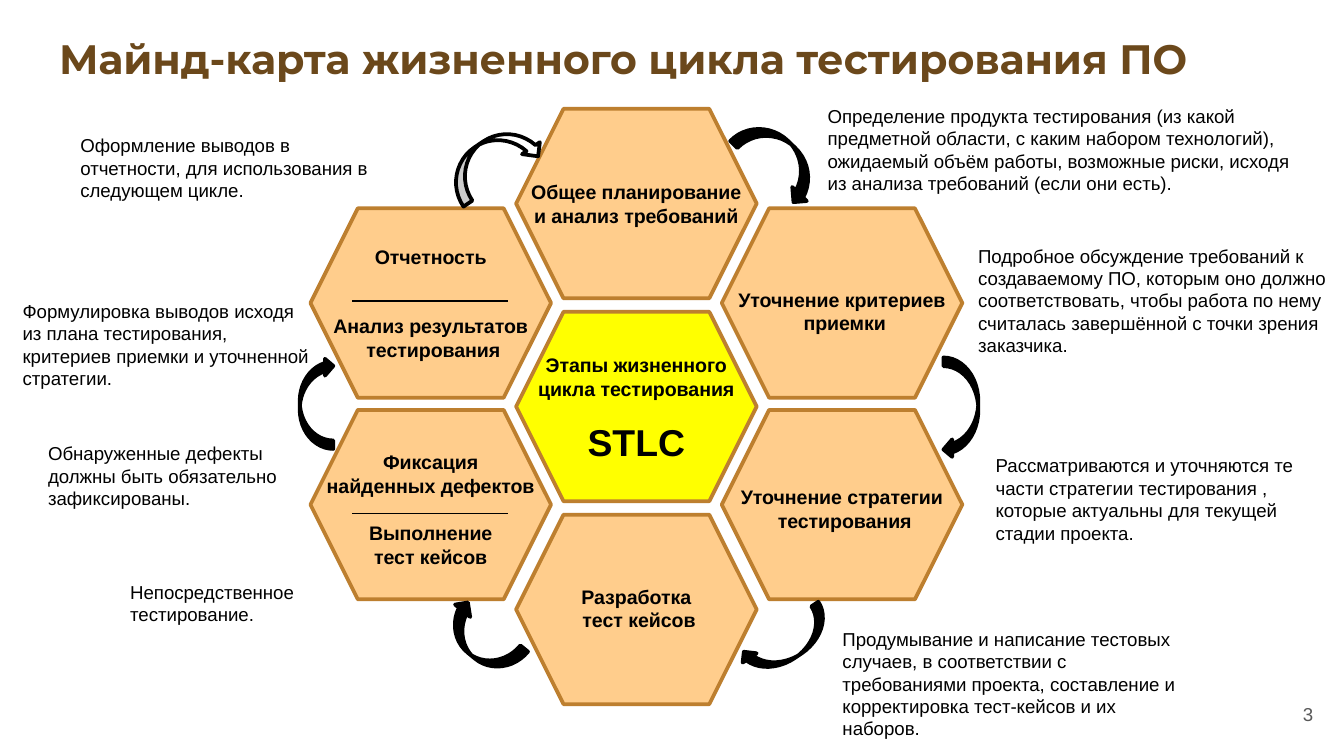
from lxml.etree import SubElement
from pptx import Presentation
from pptx.dml.color import RGBColor
from pptx.enum.shapes import MSO_CONNECTOR as Connector, MSO_SHAPE as Shape
from pptx.enum.text import MSO_ANCHOR as Anchor, MSO_AUTO_SIZE as AutoSize, PP_ALIGN as Align
from pptx.oxml.ns import qn
from pptx.util import Inches, Pt

BLACK = RGBColor(0x00, 0x00, 0x00)
WHITE = RGBColor(0xFF, 0xFF, 0xFF)
GRAY = RGBColor(0x58, 0x58, 0x58)
BROWN = RGBColor(0x6B, 0x48, 0x1B)
OCHRE = RGBColor(0xBD, 0x7F, 0x2F)
PEACH = RGBColor(0xFF, 0xCD, 0x8C)
YELLOW = RGBColor(0xFF, 0xFF, 0x00)

GRID_LEFT, COLUMN_STEP = 2.31, 1.53
SIDE_TOP, SIDE_STEP = 1.55, 1.5
MIDDLE_TOP, MIDDLE_STEP = 0.81, 1.51
CELL_WIDTH, CELL_HEIGHT = 1.79, 1.41
LABEL_WIDTH = 2.65

CELLS = [
    (1, 0, PEACH), (2, 0, PEACH), (0, 0, PEACH), (1, 1, YELLOW),
    (2, 1, PEACH), (1, 2, PEACH), (0, 1, PEACH),
]
LABELS = [
    (1, 2.58, "Этапы жизненного\vцикла тестирования", 10.5),
    (1, 3.07, "STLC", 20),
    (1, 1.29, "Общее планирование\vи анализ требований", 10.5),
    (2, 2.09, "Уточнение критериев\n приемки", 10.5),
    (2, 3.56, "Уточнение стратегии\v тестирования", 10.5),
    (1, 4.3, "Разработка\n тест кейсов", 10.5),
    (0, 3.3, "Фиксация\nнайденных дефектов", 10.5),
    (0, 1.77, "Отчетность", 10.5),
    (0, 2.29, "Анализ результатов\v тестирования", 10.5),
    (0, 3.83, "Выполнение\v тест кейсов ", 10.5),
]
DIVIDERS = [2.24, 3.82]
ARROWS = [
    (7.02, 2.66, 0.26, 0.75, 0, BLACK),
    (5.73, 4.42, 0.25, 0.73, 56.1, BLACK),
    (5.65, 0.83, 0.3, 0.73, 314, BLACK),
    (3.44, 4.43, 0.29, 0.65, 129.3, BLACK),
    (2.23, 2.66, 0.25, 0.68, 180, BLACK),
    (3.51, 0.82, 0.32, 0.75, 236, WHITE),
]
NOTES = [
    (7.18, 1.77, 2.96, 0.94, "Подробное обсуждение требований к создаваемому ПО, которым оно "
     "должно соответствовать, чтобы работа по нему считалась завершённой с точки зрения заказчика."),
    (7.31, 3.33, 2.69, 0.77, "Рассматриваются и уточняются те части стратегии тестирования , "
     "которые актуальны для текущей стадии проекта."),
    (6.17, 4.62, 2.69, 0.94, "Продумывание и написание тестовых случаев, в соответствии с "
     "требованиями проекта, составление и корректировка тест-кейсов и их наборов."),
    (6.06, 0.73, 3.73, 0.77, "Определение продукта тестирования (из какой предметной области, "
     "с каким набором технологий), ожидаемый объём работы, возможные риски, исходя из анализа "
     "требований (если они есть)."),
    (0.87, 4.27, 1.88, 0.44, "Непосредственное \vтестирование."),
    (0.26, 3.24, 2.16, 0.61, "Обнаруженные дефекты должны быть обязательно зафиксированы."),
    (0.07, 2.18, 2.36, 0.77, "Формулировка выводов исходя из плана тестирования, "
     "критериев приемки и уточненной\nстратегии."),
    (0.5, 0.95, 2.43, 0.61, "Оформление выводов в отчетности, для использования в следующем цикле."),
]


def inches(*lengths):
    return [Inches(length) for length in lengths]


def column_left(column):
    return GRID_LEFT + column * COLUMN_STEP


def row_top(column, row):
    if column == 1:
        return MIDDLE_TOP + row * MIDDLE_STEP
    return SIDE_TOP + row * SIDE_STEP


def write(frame, text, size, color=BLACK, bold=False, align=Align.LEFT, font="Arial"):
    frame.text = text
    frame.word_wrap = True
    for para in frame.paragraphs:
        para.alignment = align
        for span in para.runs:
            span.font.name = font
            span.font.size = Pt(size)
            span.font.bold = bold
            span.font.color.rgb = color


def add_title(page, text):
    title = page.shapes.title
    title.left, title.top, title.width, title.height = inches(0.34, 0.15, 9.32, 0.63)
    frame = title.text_frame
    frame.margin_left = frame.margin_right = frame.margin_top = frame.margin_bottom = Inches(0.1)
    frame.vertical_anchor = Anchor.TOP
    frame.auto_size = AutoSize.NONE
    write(frame, text, 22, BROWN, True, font="Montserrat")


def add_text(page, place, text, size, **style):
    box = page.shapes.add_textbox(*inches(*place))
    write(box.text_frame, text, size, **style)
    return box


def add_figure(page, kind, place, fill, line):
    figure = page.shapes.add_shape(kind, *inches(*place))
    figure.shadow.inherit = False
    figure.fill.solid()
    figure.fill.fore_color.rgb = fill
    figure.line.color.rgb = line
    figure.line.width = Pt(2)
    return figure


def add_cell(page, column, row, fill):
    place = (column_left(column), row_top(column, row), CELL_WIDTH, CELL_HEIGHT)
    add_figure(page, Shape.HEXAGON, place, fill, OCHRE)


def add_label(page, column, top, text, size):
    left = column_left(column) + (CELL_WIDTH - LABEL_WIDTH) / 2
    box = add_text(page, (left, top, LABEL_WIDTH, 0.45), text, size, bold=True, align=Align.CENTER)
    box.text_frame.auto_size = AutoSize.SHAPE_TO_FIT_TEXT


def add_divider(page, top):
    left = column_left(0) + 0.31
    line = page.shapes.add_connector(Connector.STRAIGHT, *inches(left, top, left + 1.16, top))
    line.line.color.rgb = BLACK
    line.line.width = Pt(0.75)
    SubElement(line.element.spPr, qn("a:effectLst"))


def add_page_number(page, text):
    box = add_text(page, (9.5, 5.14, 0.37, 0.35), text, 10, color=GRAY, align=Align.RIGHT)
    box.text_frame.vertical_anchor = Anchor.MIDDLE


def main():
    deck = Presentation()
    deck.slide_width = Inches(10)
    deck.slide_height = deck.slide_width * 9 // 16
    page = deck.slides.add_slide(deck.slide_layouts[5])
    add_title(page, "Майнд-карта жизненного цикла тестирования ПО")
    add_page_number(page, "3")
    for cell in CELLS:
        add_cell(page, *cell)
    for label in LABELS:
        add_label(page, *label)
    for top in DIVIDERS:
        add_divider(page, top)
    for *place, angle, fill in ARROWS:
        arrow = add_figure(page, Shape.CURVED_LEFT_ARROW, place, fill, BLACK)
        arrow.rotation = angle
    for *place, text in NOTES:
        note = add_text(page, place, text, 10)
        note.text_frame.auto_size = AutoSize.SHAPE_TO_FIT_TEXT
    deck.save("out.pptx")


if __name__ == "__main__":
    main()
